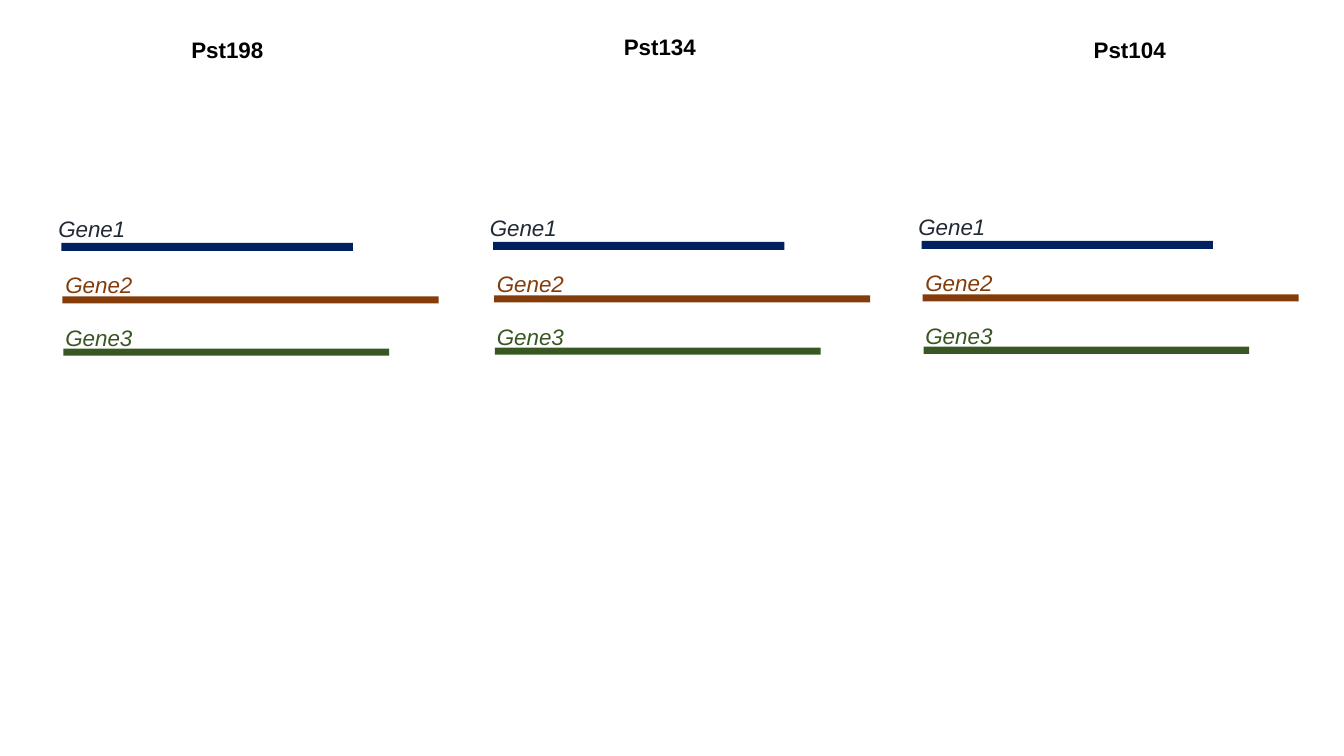
"""Build a slide comparing three gene tracks across three Pst strains."""
from pptx import Presentation
from pptx.dml.color import RGBColor
from pptx.enum import shapes, text
from pptx.util import Inches, Pt

INK = {"head": "000000", "navy": "002060", "slate": "222A35",
       "rust": "843C0B", "green": "385723"}

# name, head left, head top, track shift right, track shift down
STRAINS = [
    ("Pst198", 1.27, 0.34, 0, 0),
    ("Pst134", 5.56, 0.31, 4.28, -0.01),
    ("Pst104", 10.22, 0.34, 8.53, -0.02),
]

# name, text ink, label left and top, bar ink, bar left, top, width, height
GENES = [
    ("Gene1", "slate", (0.48, 2.14), "navy", (0.61, 2.41, 2.89, 0.08)),
    ("Gene2", "rust", (0.55, 2.69), "rust", (0.62, 2.94, 3.73, 0.07)),
    ("Gene3", "green", (0.55, 3.22), "green", (0.63, 3.46, 3.23, 0.07)),
]
HEAD = (1.97, 0.49)
LABEL = (1.43, 0.33)


def color(ink):
    return RGBColor.from_string(INK[ink])


def write(slide, words, place, ink, head=False):
    box = slide.shapes.add_textbox(*map(Inches, place))
    frame = box.text_frame
    frame.word_wrap = True
    para = frame.paragraphs[0]
    para.alignment = text.PP_ALIGN.CENTER if head else text.PP_ALIGN.LEFT
    para.line_spacing = 0.9 if head else 0.8
    run = para.add_run()
    run.text = words
    font = run.font
    font.name, font.size = "Arial", Pt(16)
    font.bold, font.italic = head, not head
    font.color.rgb = color(ink)


def draw(slide, place, ink):
    bar = slide.shapes.add_shape(shapes.MSO_SHAPE.RECTANGLE,
                                 *map(Inches, place))
    bar.shadow.inherit = False
    bar.fill.solid()
    bar.fill.fore_color.rgb = color(ink)
    bar.line.fill.background()


def main():
    deck = Presentation()
    deck.slide_width, deck.slide_height = Inches(13.33), Inches(7.5)
    slide = deck.slides.add_slide(deck.slide_layouts[6])
    for strain, left, top, right, down in STRAINS:
        write(slide, strain, (left, top, *HEAD), "head", head=True)
        for gene, ink, (x, y), fill, (bx, by, wide, high) in GENES:
            draw(slide, (bx + right, by + down, wide, high), fill)
            write(slide, gene, (x + right, y + down, *LABEL), ink)
    deck.save("out.pptx")


if __name__ == "__main__":
    main()
